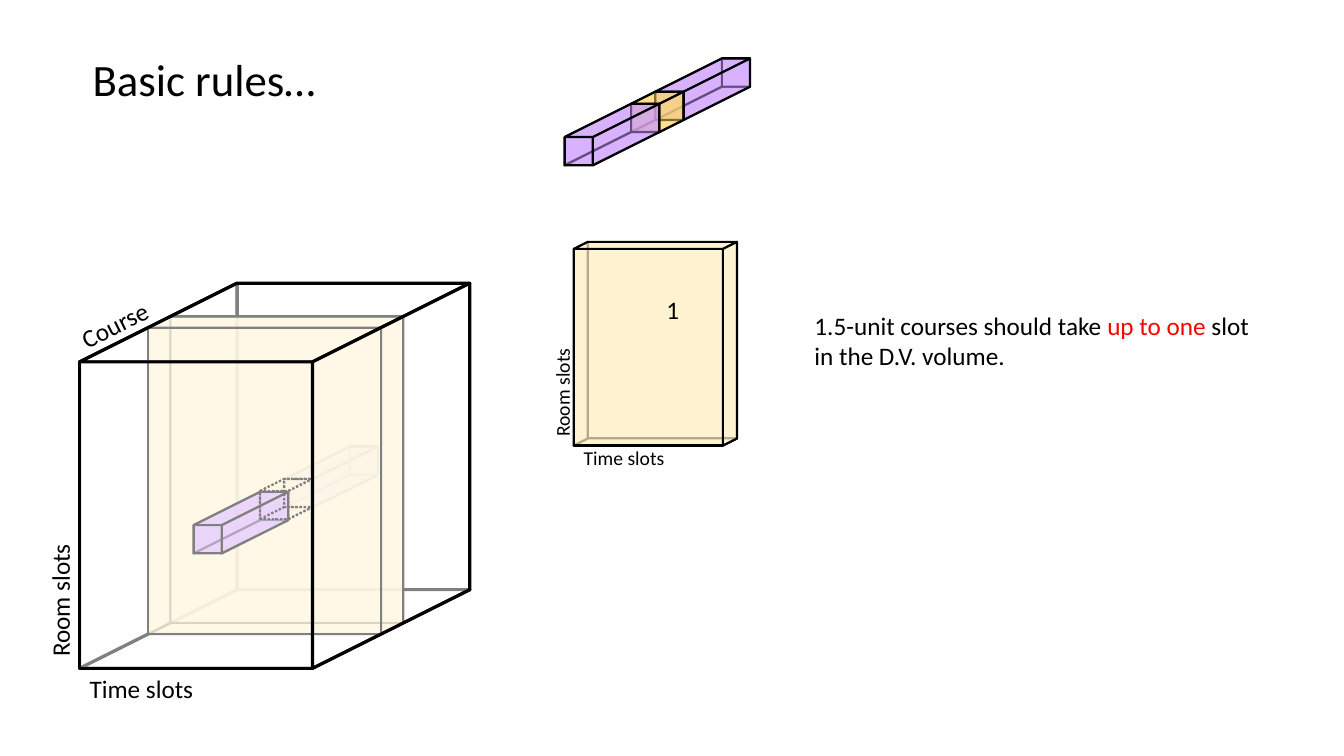
from lxml import etree
from pptx import Presentation
from pptx.dml.color import RGBColor
from pptx.enum import dml, shapes, text
from pptx.oxml import ns
from pptx.util import Inches, Pt

BLACK = RGBColor(0x00, 0x00, 0x00)
WHITE = RGBColor(0xFF, 0xFF, 0xFF)
RED = RGBColor(0xFF, 0x00, 0x00)
CREAM = RGBColor(0xFF, 0xF2, 0xCC)
GOLD = RGBColor(0xFF, 0xD9, 0x66)
PURPLE = RGBColor(0xCC, 0x99, 0xFF)

HIDDEN = ("back", "bottom", "left")
VISIBLE = ("front", "top", "right")


def add_box(parent, corner, size, depth, color, opacity, faces=HIDDEN + VISIBLE, weight=1.5):
    """Draw faces of a see-through box; corner is the top left of its front."""
    (x, y), (w, h), (dx, dy) = corner, size, depth
    frames = {
        "back": (x + dx, y - dy, w, h),
        "bottom": (x, y + h - dy, w + dx, dy),
        "left": (x, y - dy, dx, h + dy),
        "front": (x, y, w, h),
        "top": (x, y - dy, w + dx, dy),
        "right": (x + w, y - dy, dx, h + dy),
    }
    for name in faces:
        left, top, width, height = frames[name]
        upright = name in ("left", "right")
        if upright:  # a lying parallelogram, turned about its centre
            left, top = left + (width - height) / 2, top + (height - width) / 2
            width, height = height, width
        flat = name in ("front", "back")
        kind = shapes.MSO_SHAPE.RECTANGLE if flat else shapes.MSO_SHAPE.PARALLELOGRAM
        face = parent.add_shape(kind, Inches(left), Inches(top), Inches(width), Inches(height))
        face.shadow.inherit = False
        if not flat:
            face.adjustments[0] = (dy if upright else dx) / min(width, height)
        if upright:
            face.rotation = 90
            face._element.spPr.xfrm.set("flipH", "1")
        face.line.color.rgb = BLACK
        face.line.width = Pt(weight)
        if color is None:
            face.fill.background()
            face.line.dash_style = dml.MSO_LINE.ROUND_DOT
        else:
            face.fill.solid()
            face.fill.fore_color.rgb = color
            srgb = face._element.spPr.find(".//" + ns.qn("a:srgbClr"))
            etree.SubElement(srgb, ns.qn("a:alpha")).set("val", str(opacity * 1000))


def add_label(parent, frame, runs, size=18, rotation=0):
    label = parent.add_textbox(*(Inches(v) for v in frame))
    label.rotation = rotation
    label.text_frame.word_wrap = True
    label.text_frame.auto_size = text.MSO_AUTO_SIZE.SHAPE_TO_FIT_TEXT
    for words, color in runs:
        run = label.text_frame.paragraphs[0].add_run()
        run.text = words
        run.font.name = "Calibri"
        run.font.size = Pt(size)
        run.font.color.rgb = color


prs = Presentation()
prs.slide_width, prs.slide_height = Inches(13.33), Inches(7.5)
slide = prs.slides.add_slide(prs.slide_layouts[6])
canvas = slide.shapes

# Far faces and axis labels of the whole volume
volume = ((0.79, 3.59), (2.31, 3.04), (1.56, 0.78), WHITE)
add_box(canvas, *volume, 70, HIDDEN, 2.25)
add_label(canvas, (0.79, 6.63, 1.74, 0.4), [("Time slots", BLACK)])
add_label(canvas, (-0.27, 5.55, 1.73, 0.4), [("Room slots", BLACK)], rotation=270)
add_label(canvas, (0.64, 2.9, 1.46, 0.33), [("Course", BLACK)], rotation=333.3)

# Single course slice with its labels
single_slice = canvas.add_group_shape().shapes
add_box(single_slice, (5.69, 2.47), (1.48, 1.95), (0.14, 0.07), CREAM, 70)
add_label(single_slice, (5.69, 4.37, 1.17, 0.33), [("Time slots", BLACK)], 14)
add_label(single_slice, (4.99, 3.68, 1.17, 0.33), [("Room slots", BLACK)], 14, 270)
add_label(single_slice, (6.51, 2.87, 0.35, 0.39), [("1", BLACK)])

# Title
add_label(canvas, (0.82, 0.46, 4.53, 0.64), [("Basic rules…", BLACK)], 32)

# Inside the volume, from far to near: bar, slice, bar, dotted slot
slot = (0.28, 0.28)
bar_depth = (0.66, 0.33)
slot_depth = (0.24, 0.12)
for corner, size, depth, color, opacity in [
    ((2.81, 4.76), slot, bar_depth, PURPLE, 50),
    ((1.47, 3.25), (2.31, 3.04), (0.22, 0.11), CREAM, 70),
    ((1.92, 5.21), slot, bar_depth, PURPLE, 50),
    ((2.58, 4.87), slot, slot_depth, None, 0),
]:
    add_box(canvas.add_group_shape().shapes, corner, size, depth, color, opacity)

# Near faces of the volume
add_box(canvas, *volume, 50, VISIBLE, 2.25)

# Course bar pulled out, with its one slot in gold
course_bar = canvas.add_group_shape().shapes
for corner, depth, color in [
    ((6.5, 0.91), bar_depth, PURPLE),
    ((6.26, 1.03), slot_depth, GOLD),
    ((5.6, 1.36), bar_depth, PURPLE),
]:
    add_box(course_bar, corner, slot, depth, color, 50)

# Rule
add_label(canvas, (7.98, 3.03, 4.53, 0.71), [
    ("1.5-unit courses should take ", BLACK),
    ("up to one ", RED),
    ("slot in the D.V. volume.", BLACK),
])

prs.save("out.pptx")
